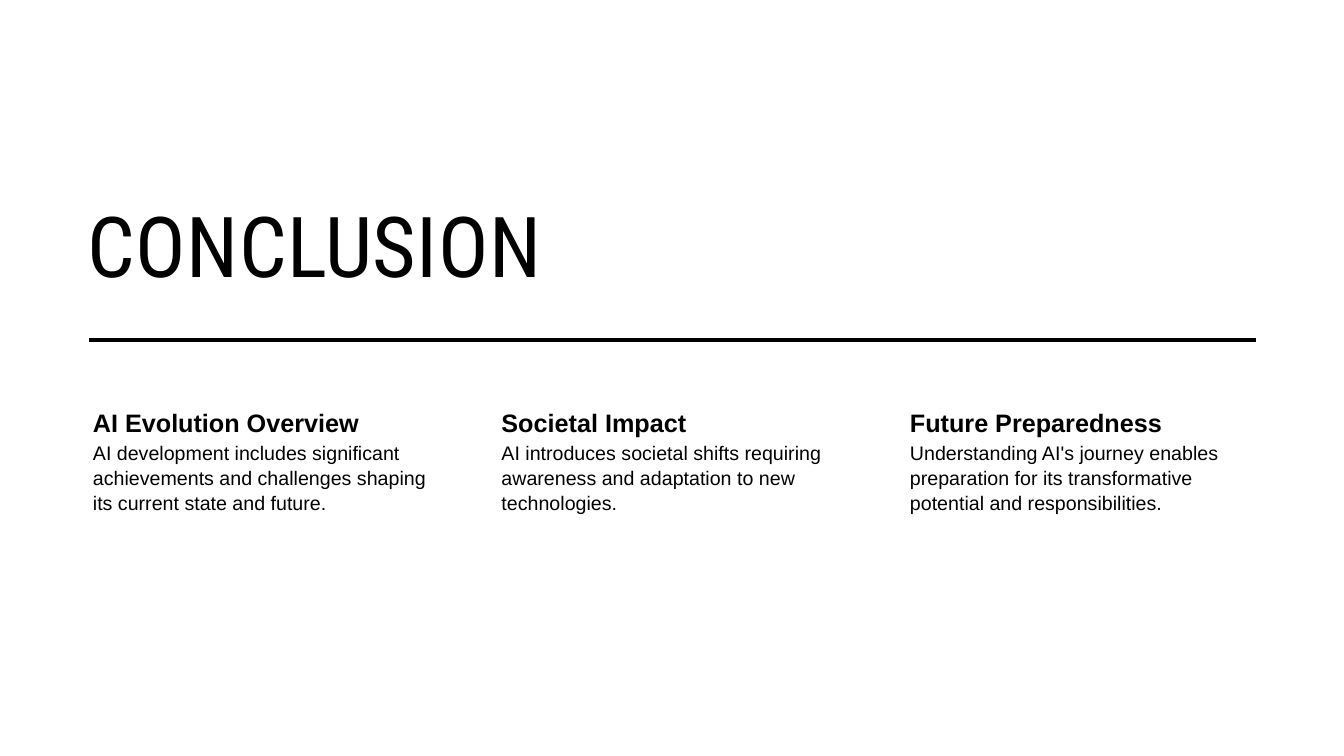
from lxml import etree
from pptx import Presentation
from pptx.dml.color import RGBColor
from pptx.enum.shapes import MSO_CONNECTOR
from pptx.enum.text import MSO_ANCHOR
from pptx.oxml.ns import qn
from pptx.util import Pt

STRAIGHT = MSO_CONNECTOR.STRAIGHT
TOP, BOTTOM = MSO_ANCHOR.TOP, MSO_ANCHOR.BOTTOM
PX_PER_INCH = 100.8
BLACK = "000000"
TAKEAWAYS = [
    ("AI Evolution Overview",
     "AI development includes significant achievements and challenges "
     "shaping its current state and future."),
    ("Societal Impact",
     "AI introduces societal shifts requiring awareness and adaptation "
     "to new technologies."),
    ("Future Preparedness",
     "Understanding AI's journey enables preparation for its "
     "transformative potential and responsibilities."),
]


def px(n):
    return round(n * 914400 / PX_PER_INCH)


def color(value):
    return RGBColor.from_string(value)


def add_text(s, box, text, size, font="Arial", bold=False, insets=(15, 2, 2, 2),
             anchor=TOP, spacing=1.05):
    """Insets run left, top, right, bottom."""
    tf = s.shapes.add_textbox(*map(px, box)).text_frame
    tf.word_wrap = True
    tf.vertical_anchor = anchor
    (tf.margin_left, tf.margin_top,
     tf.margin_right, tf.margin_bottom) = map(px, insets)
    p = tf.paragraphs[0]
    r = p.add_run()
    r.text = text
    p.line_spacing = spacing
    p.font.name = font
    p.font.size = Pt(size)
    p.font.bold = bold
    p.font.color.rgb = color(BLACK)
    return r


def add_title(s, box, text):
    r = add_text(s, box, text, 60, "Roboto Condensed",
                 insets=(10, 2, 10, 2), anchor=BOTTOM, spacing=1.0)
    r._r.get_or_add_rPr().set("spc", "30")


def add_rule(s, x, y, w):
    line = s.shapes.add_connector(STRAIGHT, px(x), px(y), px(x + w), px(y))
    line.line.color.rgb = color(BLACK)
    line.line.width = Pt(3.5)
    etree.SubElement(line._element.spPr, qn("a:effectLst"))


def add_takeaways(s, box, takeaways):
    x, y, w, h = box
    column_w, heading_h = 372, 35
    pitch = (w - column_w) / (len(takeaways) - 1)
    for i, (heading, body) in enumerate(takeaways):
        left = x + i * pitch
        add_text(s, (left, y, column_w, heading_h), heading, 18, bold=True,
                 insets=(15, 3, 3, 3))
        add_text(s, (left, y + heading_h, column_w, h - heading_h), body, 14)


def main():
    prs = Presentation()
    prs.slide_width, prs.slide_height = px(1344), px(756)
    s = prs.slides.add_slide(prs.slide_layouts[6])
    add_title(s, (78, 141, 881, 155), "CONCLUSION")
    add_takeaways(s, (78, 403, 1189, 271), TAKEAWAYS)
    add_rule(s, 89, 340, 1167)
    prs.save("out.pptx")


if __name__ == "__main__":
    main()
